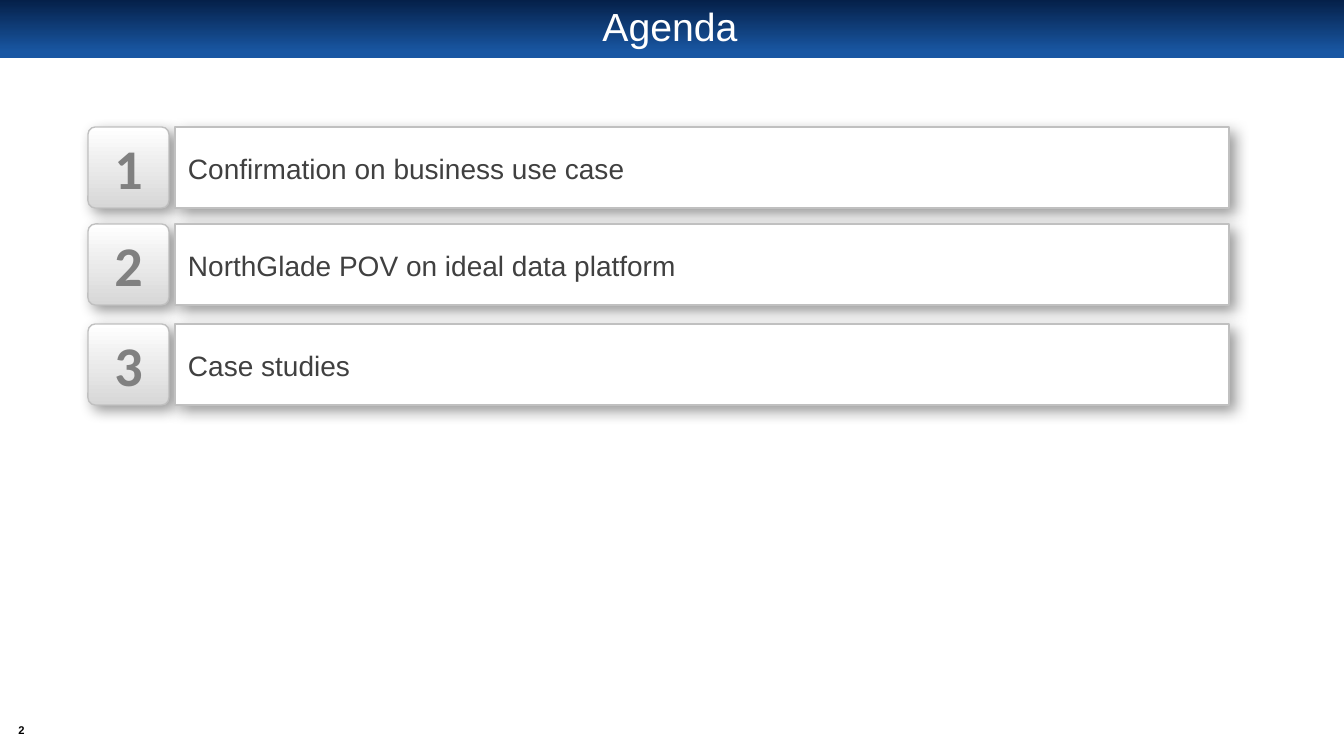
from dataclasses import dataclass

from lxml.etree import SubElement
from pptx import Presentation
from pptx.dml.color import RGBColor
from pptx.enum.shapes import MSO_SHAPE as Preset
from pptx.enum.text import MSO_ANCHOR as Anchor, PP_ALIGN as Align
from pptx.oxml.ns import qn
from pptx.shapes.autoshape import Shape
from pptx.slide import Slide
from pptx.util import Emu, Pt

PX_PER_INCH = 100.8
COLORS = {
    "header_top": "052049",
    "header_bottom": "1957A3",
    "white": "FFFFFF",
    "black": "000000",
    "badge_bottom": "D7D7D7",
    "border": "C0C0C0",
    "number": "808080",
    "topic": "404040",
}
BADGE_LEFT, CARD_LEFT, TOPIC_LEFT = 88, 175, 188
CARD_WIDTH, TOPIC_WIDTH = 1054, 1027
ROW_HEIGHT, TOPIC_HEIGHT = 81, 34


@dataclass(frozen=True)
class AgendaItem:
    number: int
    topic: str
    top: int


AGENDA = (
    AgendaItem(1, "Confirmation on business use case", 127),
    AgendaItem(2, "NorthGlade POV on ideal data platform", 224),
    AgendaItem(3, "Case studies", 324),
)


def px(length: int) -> Emu:
    return Emu(round(length * 914400 / PX_PER_INCH))


def box(left: int, top: int, width: int, height: int) -> tuple[Emu, ...]:
    return px(left), px(top), px(width), px(height)


def rgb(name: str) -> RGBColor:
    return RGBColor.from_string(COLORS[name])


def write(shape: Shape, text: str, size: int, color: str, font: str = "Arial",
          bold: bool = False, align: Align = Align.CENTER,
          wrap: bool = True, inset: bool = False) -> None:
    frame = shape.text_frame
    frame.word_wrap = wrap
    frame.vertical_anchor = Anchor.MIDDLE
    if not inset:
        frame.margin_left = frame.margin_right = 0
        frame.margin_top = frame.margin_bottom = 0
    frame.text = text
    paragraph = frame.paragraphs[0]
    paragraph.alignment = align
    paragraph.font.name = font
    paragraph.font.size = Pt(size)
    paragraph.font.bold = bold
    paragraph.font.color.rgb = rgb(color)


def fill_gradient(shape: Shape, stops: dict[str, float], angle: int) -> None:
    shape.fill.gradient()
    shape.fill.gradient_angle = angle
    for stop, (color, position) in zip(shape.fill.gradient_stops, stops.items()):
        stop.color.rgb = rgb(color)
        stop.position = position


def raise_panel(shape: Shape) -> None:
    """Give a panel its grey border and soft shadow to the lower right."""
    shape.line.color.rgb = rgb("border")
    shape.line.width = Pt(1)
    shape.shadow.inherit = False
    effects = shape.element.spPr.find(qn("a:effectLst"))
    shadow = SubElement(effects, qn("a:outerShdw"), blurRad=str(Pt(10)),
                        dist=str(Pt(5)), dir="2700000", algn="tl", rotWithShape="0")
    tint = SubElement(shadow, qn("a:srgbClr"), val=COLORS["black"])
    SubElement(tint, qn("a:alpha"), val="40000")


def add_header(slide: Slide) -> None:
    title = slide.shapes.title
    title.left, title.top, title.width, title.height = box(67, 6, 1206, 45)
    write(title, "Agenda", 28, "white", inset=True)
    title.text_frame.paragraphs[0].line_spacing = 0.9

    banner = slide.shapes.add_shape(Preset.RECTANGLE, *box(0, 0, 1344, 58))
    fill_gradient(banner, {"header_top": 0, "header_bottom": 0.9}, 270)
    banner.line.fill.background()
    banner.shadow.inherit = False
    title.element.addprevious(banner.element)


def add_agenda_row(slide: Slide, item: AgendaItem) -> None:
    row = slide.shapes.add_group_shape().shapes

    badge = row.add_shape(Preset.ROUNDED_RECTANGLE,
                          *box(BADGE_LEFT, item.top, ROW_HEIGHT, ROW_HEIGHT))
    badge.adjustments[0] = 0.09
    fill_gradient(badge, {"badge_bottom": 0, "white": 1}, 90)
    raise_panel(badge)
    write(badge, str(item.number), 40, "number", font="Calibri", bold=True)

    card = row.add_shape(Preset.RECTANGLE,
                         *box(CARD_LEFT, item.top, CARD_WIDTH, ROW_HEIGHT))
    card.fill.solid()
    card.fill.fore_color.rgb = rgb("white")
    raise_panel(card)

    topic_top = item.top + (ROW_HEIGHT - TOPIC_HEIGHT) // 2 + 1
    topic = row.add_textbox(*box(TOPIC_LEFT, topic_top, TOPIC_WIDTH, TOPIC_HEIGHT))
    write(topic, item.topic, 20, "topic", align=Align.LEFT)


def main() -> None:
    deck = Presentation()
    deck.slide_width, deck.slide_height = px(1344), px(756)
    slide = deck.slides.add_slide(deck.slide_layouts.get_by_name("Title Only"))
    add_header(slide)
    for item in AGENDA:
        add_agenda_row(slide, item)
    page_number = slide.shapes.add_textbox(*box(9, 720, 25, 19))
    write(page_number, "2", 8, "black", bold=True, wrap=False)
    deck.save("out.pptx")


if __name__ == "__main__":
    main()
